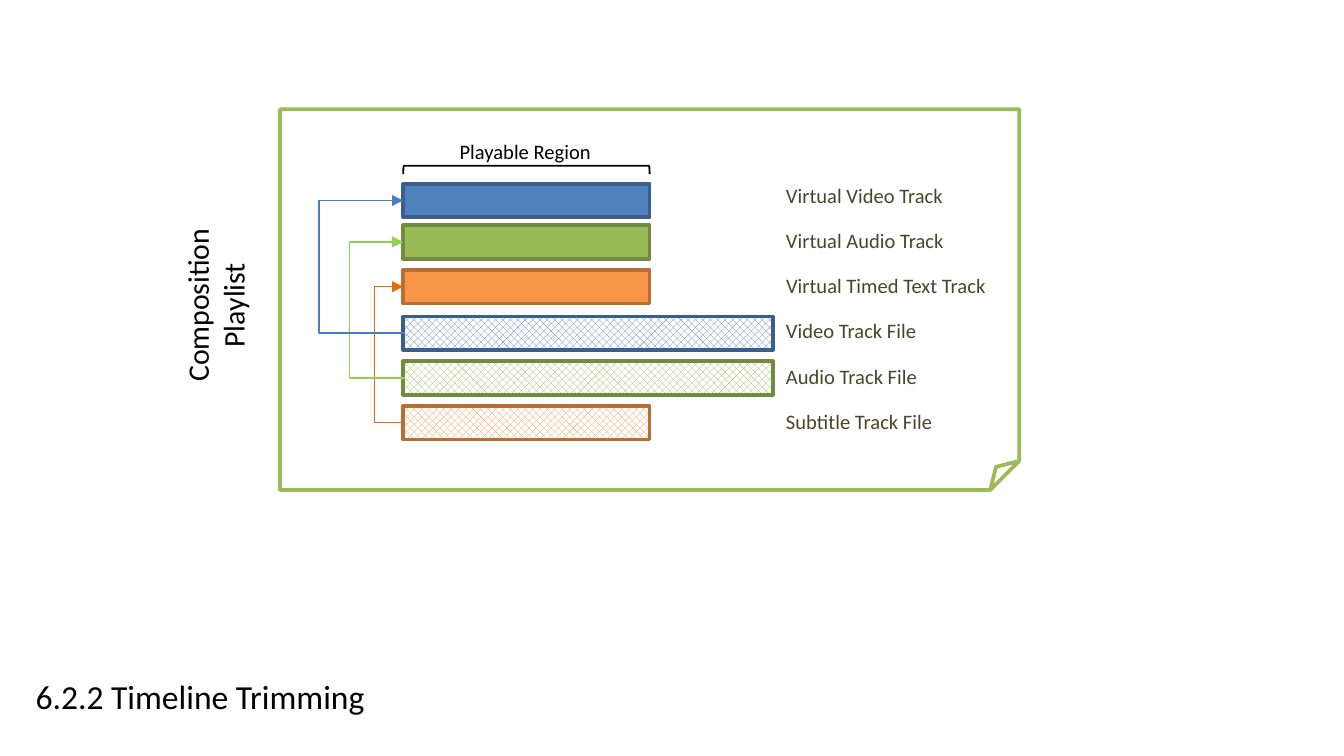
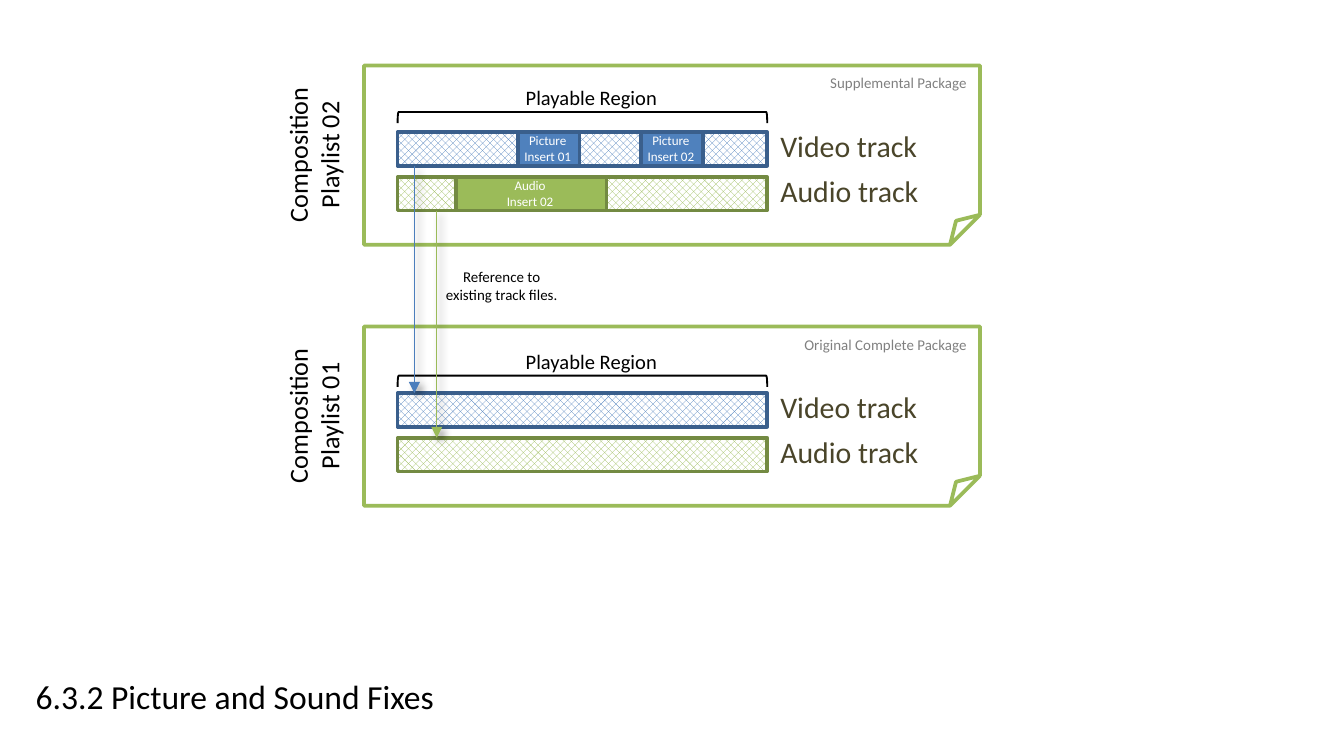
from pptx import Presentation
from pptx.dml.color import RGBColor
from pptx.enum.dml import MSO_PATTERN
from pptx.enum.shapes import MSO_CONNECTOR, MSO_SHAPE
from pptx.enum.text import MSO_AUTO_SIZE, PP_ALIGN
from pptx.oxml.ns import qn
from pptx.util import Inches, Pt
from lxml import etree

RECT, FOLDED, BRACKET = MSO_SHAPE.RECTANGLE, MSO_SHAPE.FOLDED_CORNER, MSO_SHAPE.LEFT_BRACKET
STRAIGHT, ELBOW = MSO_CONNECTOR.STRAIGHT, MSO_CONNECTOR.ELBOW
LEFT, CENTER, RIGHT = PP_ALIGN.LEFT, PP_ALIGN.CENTER, PP_ALIGN.RIGHT
CHECKER = MSO_PATTERN.LARGE_CHECKER_BOARD
FIT_SHAPE = MSO_AUTO_SIZE.SHAPE_TO_FIT_TEXT


class Theme:
    font = "Calibri"
    ink, label, muted, white = "000000", "4A452A", "808080", "FFFFFF"
    fills = {"video": "4F81BD", "audio": "9BBB59", "text": "F79646"}
    edges = {"video": "3A5F8C", "audio": "738A42", "text": "B76F34"}
    arrows = {"video": "4B7EBC", "audio": "92D050", "text": "E46C0A"}
    title, heading, subheading, body, note, tiny = 18, 16, 14, 11, 8, 7
    edge, bracket, arrow = 2, 1, 0.75


deck = Presentation()
deck.slide_width, deck.slide_height = Inches(10), Inches(5.625)
GRID = deck.slide_width / 120
BAR_HEIGHT, ROW = 3, 4


def box(shapes, preset, left, top, width, height, edge, weight=Theme.edge, fill=None, checked=False):
    shape = shapes.add_shape(preset, *(round(v * GRID) for v in (left, top, width, height)))
    shape.shadow.inherit = False
    shape.line.color.rgb = RGBColor.from_string(edge)
    shape.line.width = Pt(weight)
    if fill is None:
        shape.fill.background()
    elif checked:
        shape.fill.patterned()
        shape.fill.pattern = CHECKER
        shape.fill.fore_color.rgb = RGBColor.from_string(fill)
        shape.fill.back_color.rgb = RGBColor.from_string(Theme.white)
    else:
        shape.fill.solid()
        shape.fill.fore_color.rgb = RGBColor.from_string(fill)
    return shape


def write(shapes, words, left, top, width, height, size, color=Theme.ink, align=LEFT, wrap=True, turn=0):
    caption = shapes.add_textbox(*(round(v * GRID) for v in (left, top, width, height)))
    caption.rotation = turn
    frame = caption.text_frame
    frame.word_wrap = wrap
    frame.auto_size = FIT_SHAPE
    frame.text = words
    for paragraph in frame.paragraphs:
        paragraph.alignment = align
        paragraph.font.name = Theme.font
        paragraph.font.size = Pt(size)
        paragraph.font.color.rgb = RGBColor.from_string(color)


trimming, fixes = (deck.slides.add_slide(deck.slide_layouts[6]).shapes for _ in range(2))
for shapes, title, width in [(trimming, "6.2.2 Timeline Trimming", 32.2),
                             (fixes, "6.3.2 Picture and Sound Fixes", 38.4)]:
    write(shapes, title, 2, 59.75, width, 4.85, Theme.title, wrap=False)

tracks = [
    ("Virtual Video Track", "video", 16.4, 22, 29, False),
    ("Virtual Audio Track", "audio", 20.1, 22, 29, False),
    ("Virtual Timed Text Track", "text", 24.1, 22, 28, False),
    ("Video Track File", "video", 28.25, 33, 24, True),
    ("Audio Track File", "audio", 32.25, 33, 30.2, True),
    ("Subtitle Track File", "text", 36.25, 22, 25.2, True),
]
TRACK_LEFT = 36
for row, (label, medium, top, length, label_width, checked) in enumerate(tracks):
    box(trimming, RECT, TRACK_LEFT, top, length, BAR_HEIGHT, Theme.edges[medium],
        fill=Theme.fills[medium], checked=checked)
    write(trimming, label, 69, 15.75 + row * 4.03, label_width, 3.45, Theme.body, Theme.label)
playlist = box(trimming, FOLDED, 25, 9.75, 66, 34, Theme.fills["audio"])
fold = playlist._element.spPr.find(qn("a:prstGeom")).find(qn("a:avLst"))
etree.SubElement(fold, qn("a:gd"), name="adj", fmla="val 7600")
write(trimming, "Composition\vPlaylist", 9.75, 23.4, 19, 7.7, Theme.heading, align=CENTER, turn=270)

PACKAGE_LEFT, BARS_LEFT, BARS_DROP = 32.5, 35.5, 5.95
packages = [
    ("02", "Supplemental Package", 5.85, 6, 16.5),
    ("01", "Original Complete Package", 29.15, 29.4, 18.9),
]
for number, name, top, name_top, name_width in packages:
    for row, medium in enumerate(["video", "audio"]):
        box(fixes, RECT, BARS_LEFT, top + BARS_DROP + row * ROW, 33, BAR_HEIGHT,
            Theme.edges[medium], fill=Theme.fills[medium], checked=True)
        write(fixes, f"{medium.title()} track", BARS_LEFT + 33, top + 4.95 + row * ROW, 23.5, 4.45,
              Theme.heading, Theme.label)
    box(fixes, FOLDED, PACKAGE_LEFT, top, 55, 16, Theme.fills["audio"])
    write(fixes, f"Composition\vPlaylist {number}", 18.5, top + 4.55, 19, 6.85,
          Theme.subheading, align=CENTER, turn=270)
    write(fixes, name, PACKAGE_LEFT + 55 - name_width, name_top, name_width, 2.85,
          Theme.note, Theme.muted, RIGHT)

first_bar = packages[0][2] + BARS_DROP
second_bar = packages[1][2] + BARS_DROP
inserts = [
    ("Picture\nInsert 01", "video", 46.25, 0, 5.5),
    ("Picture\nInsert 02", "video", 57.25, 0, 5.5),
    ("Audio\nInsert 02", "audio", 40.7, 1, 13.45),
]
for label, medium, left, row, width in inserts:
    top = first_bar + row * ROW
    box(fixes, RECT, left, top, width, BAR_HEIGHT, Theme.edges[medium], fill=Theme.fills[medium])
    write(fixes, label, left + width / 2 - 3.4, top - 0.55, 6.6, 4.05, Theme.tiny, Theme.white, CENTER, False)

regions = [
    (trimming, TRACK_LEFT, 14.8, 22, 0.75, 0),
    (fixes, BARS_LEFT, 10, 33, 1, 0.9),
    (fixes, BARS_LEFT, 33.55, 33, 1, 0.9),
]
for shapes, left, top, span, depth, shift in regions:
    region = shapes.add_group_shape().shapes
    middle = left + span / 2
    brace = box(region, BRACKET, middle - depth / 2, top + depth / 2 - span / 2, depth, span,
                Theme.ink, Theme.bracket)
    brace.rotation = 90
    write(region, "Playable Region", middle + shift - 7.15, top - 3, 14.3, 3.45, Theme.body, wrap=False)

STUB = 0.12
links = [
    (trimming, TRACK_LEFT, tracks[i][2] + 1.5, tracks[i + 3][2] + 1.5, Theme.arrows[tracks[i][1]], reach)
    for i, reach in [(2, 2.6), (1, 4.9), (0, 7.65)]
] + [
    (fixes, 37, first_bar + BAR_HEIGHT, second_bar, Theme.arrows["video"], 0),
    (fixes, 39, first_bar + ROW + BAR_HEIGHT, second_bar + ROW, Theme.fills["audio"], 0),
]
for shapes, left, top, bottom, color, reach in links:
    right = left + STUB if reach else left
    link = shapes.add_connector(ELBOW if reach else STRAIGHT,
                                *(round(v * GRID) for v in (left, top, right, bottom)))
    link.line.color.rgb = RGBColor.from_string(color)
    link.line.width = Pt(Theme.arrow)
    properties = link._element.spPr
    etree.SubElement(properties.find(qn("a:ln")), qn("a:tailEnd"), type="triangle")
    effects = etree.SubElement(properties, qn("a:effectLst"))
    if reach:
        properties.find(qn("a:xfrm")).set("rot", "10800000")
        bends = properties.find(qn("a:prstGeom")).find(qn("a:avLst"))
        bend = round((reach + STUB) / STUB * 100000)
        etree.SubElement(bends, qn("a:gd"), name="adj1", fmla=f"val {bend}")
    else:
        shadow = etree.SubElement(effects, qn("a:outerShdw"), blurRad=str(Pt(4)), dist=str(Pt(3)),
                                  dir="2700000", algn="tl", rotWithShape="0")
        tint = etree.SubElement(shadow, qn("a:srgbClr"), val=Theme.ink)
        etree.SubElement(tint, qn("a:alpha"), val="40000")

write(fixes, "Reference to\nexisting track files.", 38.5, 23.3, 12.6, 4.45, Theme.note, align=CENTER, wrap=False)

deck.save("out.pptx")
